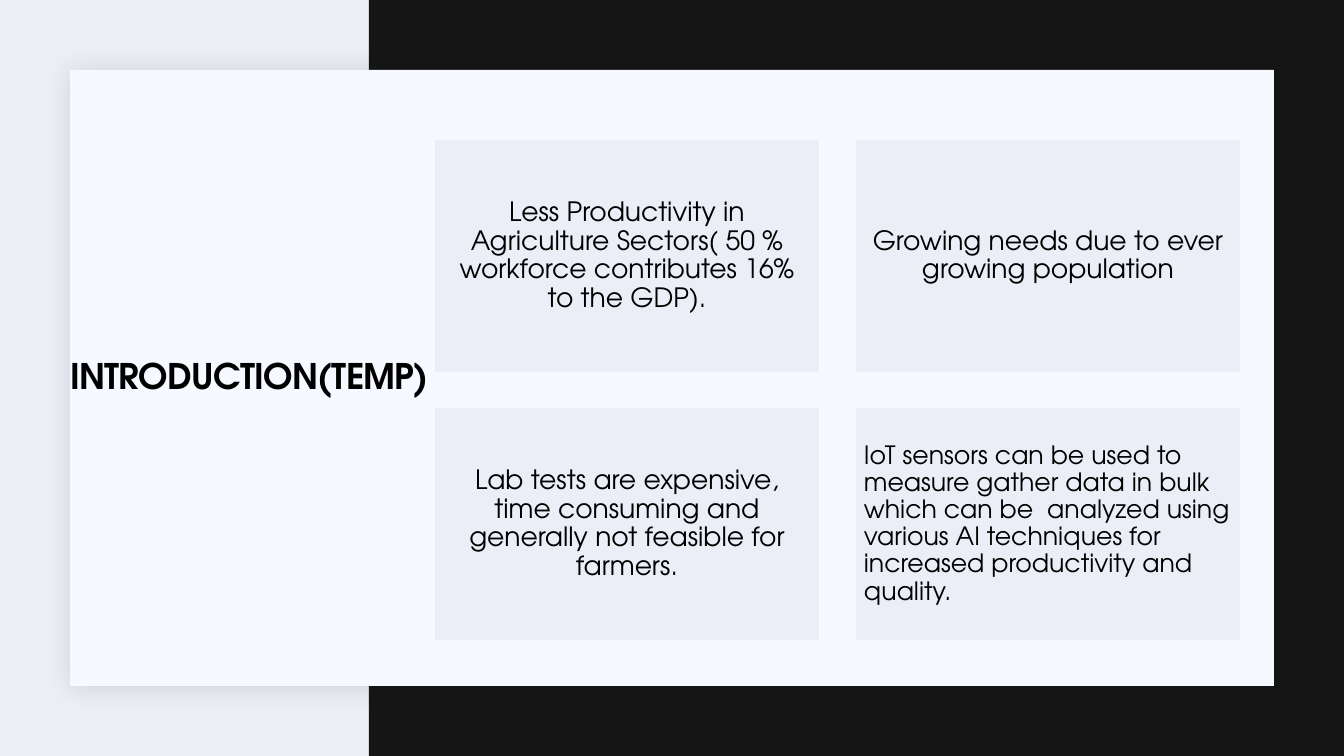
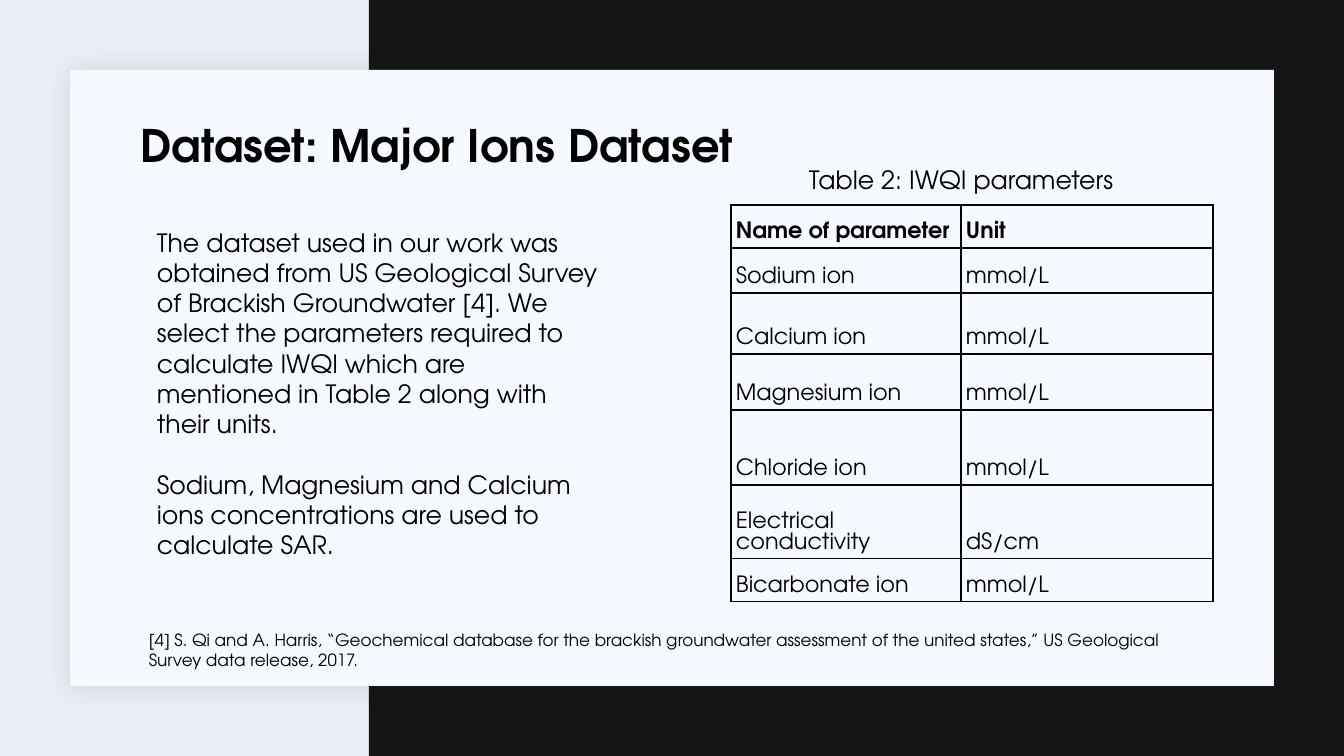
from dataclasses import dataclass

from lxml import etree
from pptx import Presentation
from pptx.dml.color import RGBColor
from pptx.enum.shapes import MSO_SHAPE
from pptx.enum.text import MSO_ANCHOR, MSO_AUTO_SIZE, PP_ALIGN
from pptx.oxml.ns import qn
from pptx.util import Emu, Pt

RECTANGLE = MSO_SHAPE.RECTANGLE
TOP, MIDDLE, BOTTOM = MSO_ANCHOR.TOP, MSO_ANCHOR.MIDDLE, MSO_ANCHOR.BOTTOM
LEFT, CENTER = PP_ALIGN.LEFT, PP_ALIGN.CENTER
NO_AUTOFIT = MSO_AUTO_SIZE.NONE


@dataclass(frozen=True)
class Theme:
    font: str = "TeX Gyre Adventor"
    ink: str = "000000"
    page: str = "EDEFF7"
    band: str = "141514"
    panel: str = "F6F9FF"
    shadow: str = "1F2125"
    card: str = "ECEEF7"
    intro_title: float = 25.2
    dataset_title: float = 32
    card_text: float = 19
    body: float = 18
    cell: float = 16
    reference: float = 12


THEME = Theme()
SLIDE_SIZE = (1344, 756)
BAND = (369, 0, 975, 756)
PANEL = (70, 70, 1204, 616)

INTRO_TITLE = "INTRODUCTION(TEMP)"
INTRO_TITLE_BOX = (49, 346, 401, 64)
CARDS = [
    ("Less Productivity in Agriculture Sectors( 50 % workforce contributes 16% to the GDP).",
     THEME.card_text, CENTER, 8),
    ("Growing needs due to ever growing population", THEME.card_text, CENTER, 8),
    ("Lab tests are expensive, time consuming and generally not feasible for farmers.",
     THEME.card_text, CENTER, 8),
    ("IoT sensors can be used to measure gather data in bulk which can be  analyzed using "
     "various AI techniques for increased productivity and quality.", THEME.body, LEFT, 7),
]
CARD_ORIGIN, CARD_SIZE, CARD_GAP = (436, 141), (382, 230), (39, 38)
CARD_COLUMNS = 2

DATASET_TITLE = "Dataset: Major Ions Dataset"
DATASET_TITLE_BOX = (130, 113, 826, 65)
DATASET_TEXTS = [
    (["The dataset used in our work was obtained from US Geological Survey of Brackish "
      "Groundwater [4]. We select the parameters required to calculate IWQI which are "
      "mentioned in Table 2 along with their units.",
      "Sodium, Magnesium and Calcium ions concentrations are used to calculate SAR."],
     (147, 222, 466, 346), THEME.body),
    (["[4] S. Qi and A. Harris, “Geochemical database for the brackish groundwater assessment "
      "of the united states,” US Geological Survey data release, 2017."],
     (139, 625, 1065, 50), THEME.reference),
    (["Table 2: IWQI parameters"], (799, 159, 331, 40), THEME.body),
]
PARAGRAPH_GAP = 21.6
PARAMETERS = [
    ("Name of parameter", "Unit"),
    ("Sodium ion", "mmol/L"),
    ("Calcium ion", "mmol/L"),
    ("Magnesium ion", "mmol/L"),
    ("Chloride ion", "mmol/L"),
    ("Electrical conductivity", "dS/cm"),
    ("Bicarbonate ion", "mmol/L"),
]
TABLE_ORIGIN = (731, 205)
COLUMN_WIDTHS = [230, 252]
ROW_HEIGHTS = [43, 45, 61, 56, 75, 74, 43]
CELL_INSET = 5


def px(length):
    return Emu(round(length * 914400 / 100.8))


def box(lengths):
    return [px(length) for length in lengths]


def rgb(color):
    return RGBColor.from_string(color)


def write(frame, paragraphs, size, align=LEFT, bold=False, line=1.0, gap=0, tracking=None):
    frame.word_wrap = True
    for index, words in enumerate(paragraphs):
        paragraph = frame.add_paragraph() if index else frame.paragraphs[0]
        paragraph.alignment = align
        paragraph.line_spacing = line
        paragraph.space_before = Pt(gap if index else 0)
        run = paragraph.add_run()
        run.text = words
        run.font.name = THEME.font
        run.font.size = Pt(size)
        run.font.bold = bold
        run.font.color.rgb = rgb(THEME.ink)
        if tracking:
            run.font._element.set("spc", str(tracking))


def set_insets(target, inset):
    target.margin_left = target.margin_right = px(inset)
    target.margin_top = target.margin_bottom = px(inset)


def add_rectangle(slide, place, color):
    rectangle = slide.shapes.add_shape(RECTANGLE, *box(place))
    rectangle.shadow.inherit = False
    rectangle.fill.solid()
    rectangle.fill.fore_color.rgb = rgb(color)
    rectangle.line.fill.background()
    return rectangle


def add_soft_shadow(panel):
    effects = panel._element.spPr.find(qn("a:effectLst"))
    shadow = etree.SubElement(effects, qn("a:outerShdw"), blurRad=str(Pt(20)), dist=str(Pt(2)),
                              dir="2700000", algn="ctr", rotWithShape="0")
    color = etree.SubElement(shadow, qn("a:srgbClr"), val=THEME.shadow)
    etree.SubElement(color, qn("a:alpha"), val="15000")


def move_backdrop_to_master(prs, slide):
    fill = prs.slide_master.background.fill
    fill.solid()
    fill.fore_color.rgb = rgb(THEME.page)
    band = add_rectangle(slide, BAND, THEME.band)
    panel = add_rectangle(slide, PANEL, THEME.panel)
    add_soft_shadow(panel)
    for depth, part in enumerate((band, panel), start=2):
        prs.slide_master.shapes.element.insert(depth, part._element)


def set_title(slide, words, place, size, anchor, **style):
    title = slide.shapes.title
    title.left, title.top, title.width, title.height = box(place)
    title.text_frame.auto_size = NO_AUTOFIT
    title.text_frame.vertical_anchor = anchor
    write(title.text_frame, [words], size, bold=True, **style)


def add_cards(slide):
    for index, (words, size, align, inset) in enumerate(CARDS):
        row, column = divmod(index, CARD_COLUMNS)
        corner = [start + step * (side + gap) for start, step, side, gap
                  in zip(CARD_ORIGIN, (column, row), CARD_SIZE, CARD_GAP)]
        card = add_rectangle(slide, (*corner, *CARD_SIZE), THEME.card)
        card.line.color.rgb = rgb(THEME.card)
        card.line.width = Pt(1.25)
        set_insets(card.text_frame, inset)
        card.text_frame.vertical_anchor = MIDDLE
        write(card.text_frame, [words], size, align, line=0.9)


def add_borders(cell):
    properties = cell._tc.get_or_add_tcPr()
    for index, side in enumerate(("lnL", "lnR", "lnT", "lnB")):
        border = etree.Element(qn(f"a:{side}"), w=str(Pt(1)))
        fill = etree.SubElement(border, qn("a:solidFill"))
        etree.SubElement(fill, qn("a:srgbClr"), val=THEME.ink)
        properties.insert(index, border)


def add_parameter_table(slide):
    size = (sum(COLUMN_WIDTHS), sum(ROW_HEIGHTS))
    table = slide.shapes.add_table(len(PARAMETERS), len(COLUMN_WIDTHS),
                                   *box((*TABLE_ORIGIN, *size))).table
    table.horz_banding = False
    for column, width in zip(table.columns, COLUMN_WIDTHS):
        column.width = px(width)
    for row, height in zip(table.rows, ROW_HEIGHTS):
        row.height = px(height)
    for row_index, entries in enumerate(PARAMETERS):
        for column_index, words in enumerate(entries):
            cell = table.cell(row_index, column_index)
            set_insets(cell, CELL_INSET)
            cell.vertical_anchor = BOTTOM
            cell.fill.background()
            add_borders(cell)
            write(cell.text_frame, [words], THEME.cell, bold=row_index == 0)


def build_introduction(slide):
    set_title(slide, INTRO_TITLE, INTRO_TITLE_BOX, THEME.intro_title, MIDDLE,
              align=CENTER, line=0.9, tracking=-50)
    add_cards(slide)


def build_dataset(slide):
    set_title(slide, DATASET_TITLE, DATASET_TITLE_BOX, THEME.dataset_title, TOP)
    add_parameter_table(slide)
    for paragraphs, place, size in DATASET_TEXTS:
        frame = slide.shapes.add_textbox(*box(place)).text_frame
        write(frame, paragraphs, size, gap=PARAGRAPH_GAP)


def main():
    """Build the introduction and dataset slides."""
    prs = Presentation()
    prs.slide_width, prs.slide_height = box(SLIDE_SIZE)
    title_only = prs.slide_layouts[5]
    introduction, dataset = (prs.slides.add_slide(title_only) for _ in range(2))
    move_backdrop_to_master(prs, introduction)
    build_introduction(introduction)
    build_dataset(dataset)
    prs.save("out.pptx")


if __name__ == "__main__":
    main()
